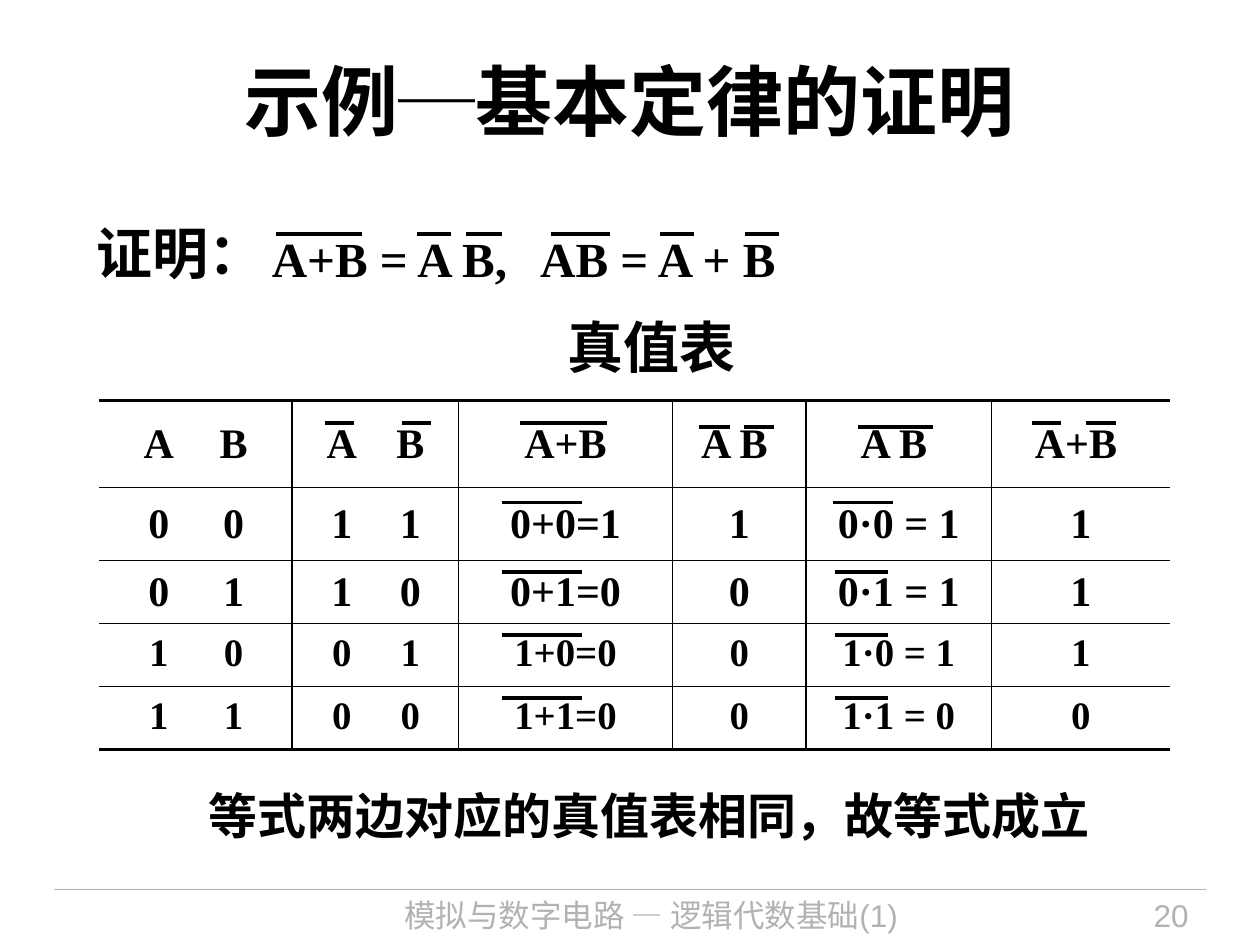
from typing import NamedTuple

from lxml.etree import SubElement
from pptx import Presentation
from pptx.dml.color import RGBColor
from pptx.enum.shapes import MSO_CONNECTOR as Connector
from pptx.enum.text import MSO_ANCHOR as Anchor, PP_ALIGN as Align
from pptx.oxml.ns import qn
from pptx.util import Cm, Pt

BLACK, GREY = "000000", "B2B2B2"
SANS, SERIF = "Arial", "Times New Roman"


class Span(NamedTuple):
    text: str
    size: float
    font: str = SANS
    colour: str = BLACK
    bold: bool = True


class Label(NamedTuple):
    left: float
    top: float
    width: float
    height: float
    spans: list[Span]
    align: Align = Align.LEFT
    anchor: Anchor = Anchor.TOP
    wrap: bool = True
    tabs: tuple[float, ...] = ()


class Row(NamedTuple):
    height: float
    cells: list[str]
    size: float = 24
    spacing: float = 1.0
    rule: float = 0.75


class Bars(NamedTuple):
    """Overbars that share one height."""
    y: float
    extents: list[tuple[float, float]]


LABELS = [
    Label(6.32, 17.93, 13.61, 1.12,
          [Span("模拟与数字电路 — 逻辑代数基础(1)", 18, SANS, GREY, False)], Align.CENTER),
    Label(20.83, 17.93, 3.38, 1.12, [Span("20", 18, SANS, GREY, False)], Align.RIGHT),
    Label(1.27, 0.43, 22.86, 3.18,
          [Span("示例─", 44, SERIF), Span("基本定律的证明", 44)], Align.CENTER, Anchor.MIDDLE),
    Label(1.7, 4.29, 3.89, 1.63, [Span("证明：", 32)], Align.CENTER, wrap=False),
    Label(5.23, 4.47, 10.95, 1.45, [Span("A+B = A B,\tAB = A + B", 28, SERIF)],
          anchor=Anchor.MIDDLE, tabs=(5.41,)),
    Label(11.2, 6.17, 3.89, 1.63, [Span("真值表", 32)], wrap=False),
    Label(3.96, 15.72, 18.26, 1.45,
          [Span("等式两边对应的真值表相同，故等式成立", 28)], wrap=False),
]

TABLE_LEFT, TABLE_TOP = 2.0, 8.08
COLUMN_WIDTHS = [3.89, 3.35, 4.32, 2.69, 3.74, 3.6]
PAIR_TABS = {0: (1.2, 2.71), 1: (1.0, 2.38)}
ROWS = [
    Row(1.75, ["\tA\tB", "\tA\tB", "A+B", "A B", "A B", "A+B"], rule=1),
    Row(1.47, ["\t0\t0", "\t1\t1", "0+0=1", "1", "0·0 = 1", "1"]),
    Row(1.27, ["\t0\t1", "\t1\t0", "0+1=0", "0", "0·1 = 1", "1"]),
    Row(1.27, ["\t1\t0", "\t0\t1", "1+0=0", "0", "1·0 = 1", "1"], 22.2, 0.9),
    Row(1.27, ["\t1\t1", "\t0\t0", "1+1=0", "0", "1·1 = 0", "0"], 22.2, 0.9, 2),
]

SUM_BAR, PRODUCT_BAR = (10.11, 11.73), (16.84, 17.91)
OVERBARS = [
    Bars(4.71, [(5.56, 7.29), (8.41, 9.09), (9.4, 10.11), (11.1, 12.29),
                (13.31, 14.0), (15.01, 15.7)]),
    Bars(8.53, [(6.55, 7.14), (8.1, 8.69), (10.49, 12.24), (20.8, 21.39), (21.89, 22.5)]),
    Bars(8.61, [(14.1, 14.71), (14.99, 15.6), (17.3, 18.8)]),
    Bars(10.13, [SUM_BAR, (16.79, 18.01)]),
    *(Bars(y, [SUM_BAR, PRODUCT_BAR]) for y in (11.53, 12.8, 14.07)),
]


def rgb(colour: str) -> RGBColor:
    return RGBColor.from_string(colour)


def add_tabs(para, positions: tuple[float, ...], kind: str) -> None:
    if positions:
        tab_list = SubElement(para._p.get_or_add_pPr(), qn("a:tabLst"))
        for position in positions:
            SubElement(tab_list, qn("a:tab"), pos=str(Cm(position)), algn=kind)


def add_span(para, span: Span) -> None:
    run = para.add_run()
    run.text = span.text
    run.font.size = Pt(span.size)
    run.font.name = span.font
    run.font.bold = span.bold
    run.font.color.rgb = rgb(span.colour)


def add_label(slide, label: Label) -> None:
    box = slide.shapes.add_textbox(Cm(label.left), Cm(label.top),
                                   Cm(label.width), Cm(label.height))
    frame = box.text_frame
    frame.word_wrap = label.wrap
    frame.vertical_anchor = label.anchor
    para = frame.paragraphs[0]
    para.alignment = label.align
    add_tabs(para, label.tabs, "l")
    for span in label.spans:
        add_span(para, span)


def add_rule(slide, start: float, end: float, y: float, colour: str, weight: float) -> None:
    rule = slide.shapes.add_connector(Connector.STRAIGHT, Cm(start), Cm(y), Cm(end), Cm(y))
    rule.line.color.rgb = rgb(colour)
    rule.line.width = Pt(weight)
    SubElement(rule._element.spPr, qn("a:effectLst"))


def set_borders(cell, weights: dict[str, float]) -> None:
    """Draw the given sides in black; a weight of zero hides the side."""
    properties = cell._tc.get_or_add_tcPr()
    for side, weight in weights.items():
        border = SubElement(properties, qn(f"a:ln{side}"), w=str(Pt(weight)))
        if weight:
            fill = SubElement(border, qn("a:solidFill"))
            SubElement(fill, qn("a:srgbClr"), val=BLACK)
        else:
            SubElement(border, qn("a:noFill"))


def add_truth_table(slide) -> None:
    table = slide.shapes.add_table(
        len(ROWS), len(COLUMN_WIDTHS), Cm(TABLE_LEFT), Cm(TABLE_TOP),
        Cm(sum(COLUMN_WIDTHS)), Cm(sum(row.height for row in ROWS))).table
    table.first_row = table.horz_banding = False
    for column, width in zip(table.columns, COLUMN_WIDTHS):
        column.width = Cm(width)
    last = len(COLUMN_WIDTHS) - 1
    for r, row in enumerate(ROWS):
        table.rows[r].height = Cm(row.height)
        for c, text in enumerate(row.cells):
            cell = table.cell(r, c)
            cell.margin_left = cell.margin_top = cell.margin_bottom = 0
            cell.margin_right = Cm(0.2) if r == 0 and c > 2 else 0
            cell.vertical_anchor = Anchor.MIDDLE
            set_borders(cell, {"L": 1 if c else 0, "R": 1 if c < last else 0,
                               "T": ROWS[r - 1].rule if r else 2, "B": row.rule})
            cell.fill.background()
            para = cell.text_frame.paragraphs[0]
            para.alignment = Align.LEFT if c in PAIR_TABS else Align.CENTER
            para.line_spacing = row.spacing
            add_tabs(para, PAIR_TABS.get(c, ()), "ctr")
            add_span(para, Span(text, row.size, SERIF))


def main() -> None:
    deck = Presentation()
    deck.slide_width, deck.slide_height = Cm(25.4), Cm(19.05)
    slide = deck.slides.add_slide(deck.slide_layouts[6])
    add_rule(slide, 1.09, 24.31, 17.93, GREY, 0.75)
    for label in LABELS:
        add_label(slide, label)
    add_truth_table(slide)
    for bars in OVERBARS:
        for start, end in bars.extents:
            add_rule(slide, start, end, bars.y, BLACK, 2.25)
    deck.save("out.pptx")


if __name__ == "__main__":
    main()
